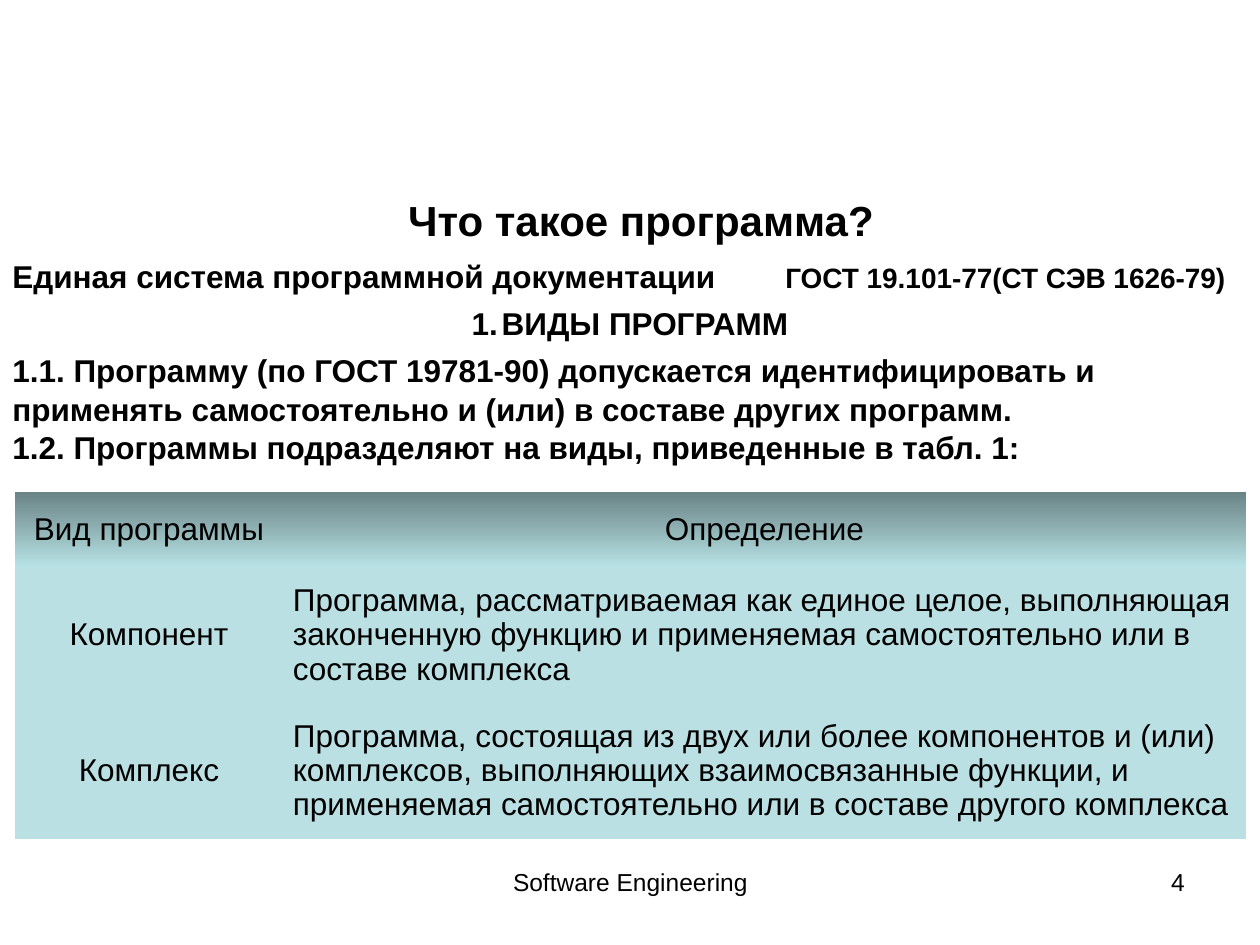
from lxml.etree import SubElement
from pptx import Presentation
from pptx.dml.color import RGBColor
from pptx.enum.text import MSO_ANCHOR, PP_ALIGN
from pptx.oxml.ns import qn
from pptx.util import Pt

SCALE = 914400 // 126
BLACK = RGBColor(0x00, 0x00, 0x00)
HEAD_DARK = RGBColor(0x6A, 0x84, 0x86)
HEAD_LIGHT = RGBColor(0xB8, 0xE3, 0xE6)
BODY_FILL = RGBColor(0xBB, 0xE0, 0xE3)
NO_STYLE = "{2D5ABB26-0587-4C30-8999-92F81FD0307C}"
LEFT, CENTER, RIGHT = PP_ALIGN.LEFT, PP_ALIGN.CENTER, PP_ALIGN.RIGHT

TITLE = "Что такое программа?"
STANDARD = ("Единая система программной документации\t", "ГОСТ 19.101-77(СТ СЭВ 1626-79)")
SECTION = "ВИДЫ ПРОГРАММ"
CLAUSES = [
    ("1.1. Программу (по ГОСТ 19781-90) допускается идентифицировать и применять "
     "самостоятельно и (или) в составе других программ.", 4.5),
    ("1.2. Программы подразделяют на виды, приведенные в табл. 1:", 0),
]
ROWS = [
    ("Вид программы", "Определение"),
    ("Компонент", "Программа, рассматриваемая как единое целое, выполняющая законченную "
                  "функцию и применяемая самостоятельно или в составе комплекса"),
    ("Комплекс", "Программа, состоящая из двух или более компонентов и (или) комплексов, "
                 "выполняющих взаимосвязанные функции, и применяемая самостоятельно "
                 "или в составе другого комплекса"),
]
COL_WIDTHS = (268, 963)
ROW_HEIGHTS = (76, 135, 136)
FOOTERS = [("Software Engineering", (431, 861, 399, 66), CENTER),
           ("4", (903, 861, 294, 66), RIGHT)]


def px(n):
    """Turn pixels into EMU."""
    return n * SCALE


def add_text(p, text, size=18, bold=False, align=LEFT, before=0, spacing=None):
    """Append a formatted run to a paragraph and format the paragraph."""
    p.alignment = align
    p.space_before = Pt(before)
    if spacing:
        p.line_spacing = spacing
    r = p.add_run()
    r.text = text
    r.font.name, r.font.size, r.font.bold = "Arial", Pt(size), bold
    r.font.color.rgb = BLACK
    return r


def add_box(slide, box, anchor=MSO_ANCHOR.TOP):
    """Add a wrapping text box and return its text frame."""
    tf = slide.shapes.add_textbox(*map(px, box)).text_frame
    tf.word_wrap = True
    tf.vertical_anchor = anchor
    return tf


def add_tab(p, pos):
    """Set one left tab stop, in pixels."""
    tabs = SubElement(p._p.get_or_add_pPr(), qn("a:tabLst"))
    SubElement(tabs, qn("a:tab"), pos=str(px(pos)), algn="l")


def add_number(p, indent):
    """Number a paragraph automatically with a hanging indent, in pixels."""
    pPr = p._p.get_or_add_pPr()
    pPr.set("marL", str(px(indent)))
    pPr.set("indent", str(-px(indent)))
    SubElement(pPr, qn("a:buFont"), typeface="Arial")
    SubElement(pPr, qn("a:buAutoNum"), type="arabicPeriod")


def add_body(slide):
    """Write the standard's name, section heading and clauses."""
    tf = add_box(slide, (0, 254, 1260, 590))
    tf.margin_top = px(2)
    style = dict(bold=True, spacing=1.03)
    p = tf.paragraphs[0]
    for text, size in zip(STANDARD, (18, 16)):
        add_text(p, text, size=size, before=4, **style)
    add_tab(p, 773)
    p = tf.add_paragraph()
    add_text(p, SECTION, align=CENTER, before=4.5, **style)
    add_number(p, 30)
    for text, before in CLAUSES:
        add_text(tf.add_paragraph(), text, before=before, **style)


def fill_cell(cell, header):
    """Give a header cell its gradient, or a body cell its plain fill."""
    if not header:
        cell.fill.solid()
        cell.fill.fore_color.rgb = BODY_FILL
        return
    cell.fill.gradient()
    cell.fill.gradient_angle = 270
    for stop, color, pos in zip(cell.fill.gradient_stops, (HEAD_DARK, HEAD_LIGHT), (0, 1)):
        stop.color.rgb = color
        stop.position = pos


def add_kinds_table(slide):
    """Add the table of program kinds."""
    box = (15, 492, sum(COL_WIDTHS), sum(ROW_HEIGHTS))
    table = slide.shapes.add_table(len(ROWS), len(COL_WIDTHS), *map(px, box)).table
    table._tbl.tblPr.find(qn("a:tableStyleId")).text = NO_STYLE
    table.horz_banding = False
    for col, width in zip(table.columns, COL_WIDTHS):
        col.width = px(width)
    for i, (row, height, texts) in enumerate(zip(table.rows, ROW_HEIGHTS, ROWS)):
        row.height = px(height)
        for j, (cell, text) in enumerate(zip(row.cells, texts)):
            cell.margin_left = cell.margin_right = px(10)
            cell.vertical_anchor = MSO_ANCHOR.MIDDLE
            fill_cell(cell, i == 0)
            add_text(cell.text_frame.paragraphs[0], text, spacing=0.97,
                     align=LEFT if i and j else CENTER)


prs = Presentation()
prs.slide_width, prs.slide_height = px(1260), px(945)
s = prs.slides.add_slide(prs.slide_layouts[6])
title = add_box(s, (74, 195, 1134, 49), MSO_ANCHOR.MIDDLE)
add_text(title.paragraphs[0], TITLE, size=24, bold=True, align=CENTER)
add_body(s)
for text, box, align in FOOTERS:
    add_text(add_box(s, box).paragraphs[0], text, size=14, align=align)
add_kinds_table(s)
prs.save("out.pptx")
